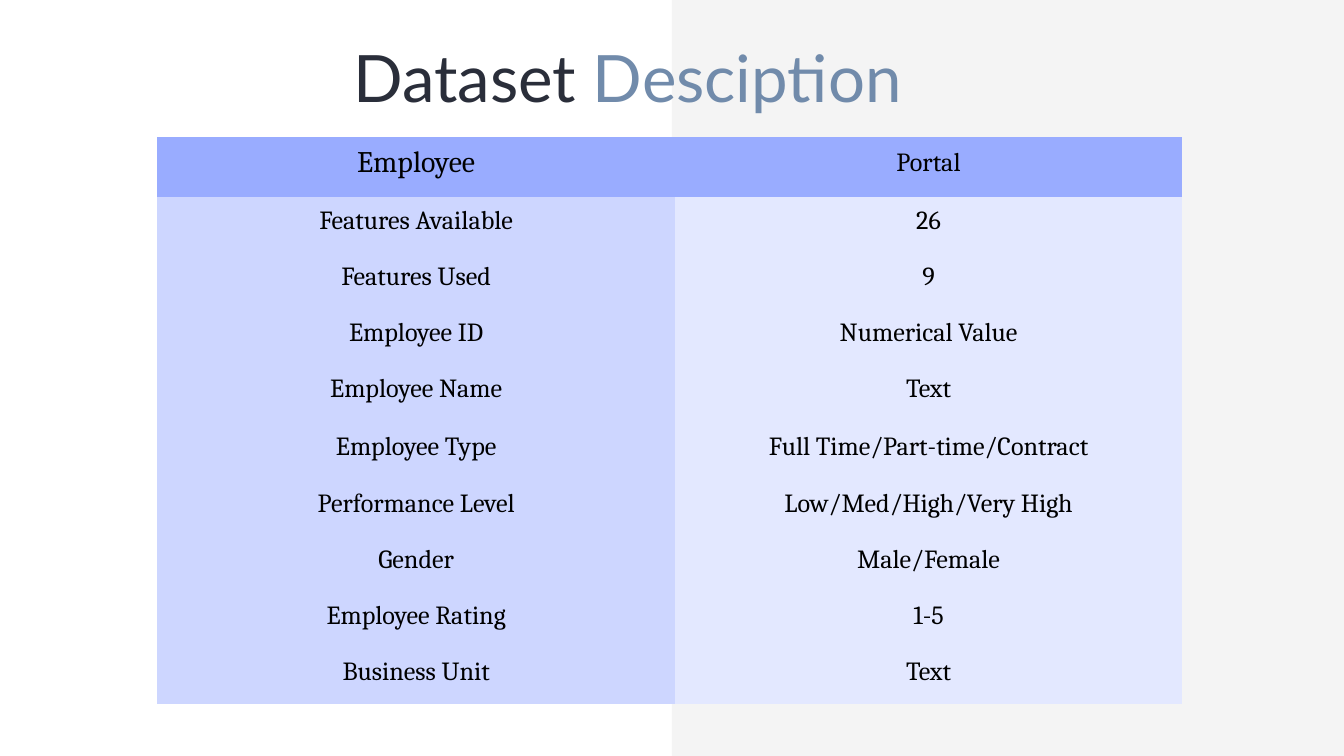
import pptx
import pptx.dml.color
import pptx.enum.shapes
import pptx.enum.text
import pptx.util

PX = 9525
SLIDE = (1920, 1080)
PANEL = (960, 0, 960, 1080)
TITLE_BOX = (505, 44, 910, 120)
TITLE = [("Dataset ", "2A2E3A"), ("Desciption", "718BAB")]

TABLE_AT = (224, 196)
COLUMN_WIDTHS = [741, 723]
HEADER_HEIGHT, ROW_HEIGHT, TYPE_ROW_HEIGHT = 86, 80, 84
INSET = 20
HEADER_FILL = "99ACFF"
COLUMN_FILLS = ["CDD6FF", "E3E8FF"]
NO_GRID_STYLE = "{2D5ABB26-0587-4C30-8999-92F81FD0307C}"
ROWS = [
    ("Employee", "Portal"),
    ("Features Available", "26"),
    ("Features Used", "9"),
    ("Employee ID", "Numerical Value"),
    ("Employee Name", "Text"),
    ("Employee Type", "Full Time/Part-time/Contract"),
    ("Performance Level", "Low/Med/High/Very High"),
    ("Gender", "Male/Female"),
    ("Employee Rating", "1-5"),
    ("Business Unit", "Text"),
]
LINE_SPACING = {"Employee": 28, "Full Time/Part-time/Contract": 25.2}


def px(*values):
    return [pptx.util.Emu(v * PX) for v in values]


def rgb(value):
    return pptx.dml.color.RGBColor.from_string(value)


def paint(fill, color):
    fill.solid()
    fill.fore_color.rgb = rgb(color)


def row_height(label):
    return {"Employee": HEADER_HEIGHT, "Employee Type": TYPE_ROW_HEIGHT}.get(label, ROW_HEIGHT)


def fill_cell(cell, text, color):
    paint(cell.fill, color)
    inset, = px(INSET)
    cell.margin_left = cell.margin_right = inset
    cell.margin_top = cell.margin_bottom = inset
    cell.vertical_anchor = pptx.enum.text.MSO_ANCHOR.MIDDLE
    cell.text = text
    p = cell.text_frame.paragraphs[0]
    p.alignment = pptx.enum.text.PP_ALIGN.CENTER
    p.line_spacing = pptx.util.Pt(LINE_SPACING.get(text, 23.8))
    p.font.name = "Cambria"
    p.font.size = pptx.util.Pt(32 if text == "Employee" else 28)
    p.font.bold = False
    p.font.color.rgb = rgb("000000")


def add_panel(s):
    sp = s.shapes.add_shape(pptx.enum.shapes.MSO_SHAPE.RECTANGLE, *px(*PANEL))
    sp.shadow.inherit = False
    paint(sp.fill, "F4F4F4")
    sp.line.fill.background()


def add_dataset_table(s):
    heights = [row_height(label) for label, _ in ROWS]
    box = px(*TABLE_AT, sum(COLUMN_WIDTHS), sum(heights))
    table = s.shapes.add_table(len(ROWS), len(COLUMN_WIDTHS), *box).table
    table.horz_banding = False
    table.first_row = False
    table._tbl.tblPr.find(pptx.oxml.ns.qn("a:tableStyleId")).text = NO_GRID_STYLE
    for column, width in zip(table.columns, px(*COLUMN_WIDTHS)):
        column.width = width
    for i, (row, height) in enumerate(zip(table.rows, px(*heights))):
        row.height = height
        for cell, text, color in zip(row.cells, ROWS[i], COLUMN_FILLS):
            fill_cell(cell, text, color if i else HEADER_FILL)


def add_title(s):
    tf = s.shapes.add_textbox(*px(*TITLE_BOX)).text_frame
    tf.word_wrap = True
    tf.margin_left = tf.margin_right = tf.margin_top = tf.margin_bottom = 0
    p = tf.paragraphs[0]
    p.line_spacing = pptx.util.Pt(91)
    p.font.name = "Lato"
    p.font.size = pptx.util.Pt(70)
    for text, color in TITLE:
        r = p.add_run()
        r.text = text
        r.font.color.rgb = rgb(color)


def main():
    prs = pptx.Presentation()
    prs.slide_width, prs.slide_height = px(*SLIDE)
    s = prs.slides.add_slide(prs.slide_layouts[6])
    add_panel(s)
    add_dataset_table(s)
    add_title(s)
    prs.save("out.pptx")


if __name__ == "__main__":
    main()
